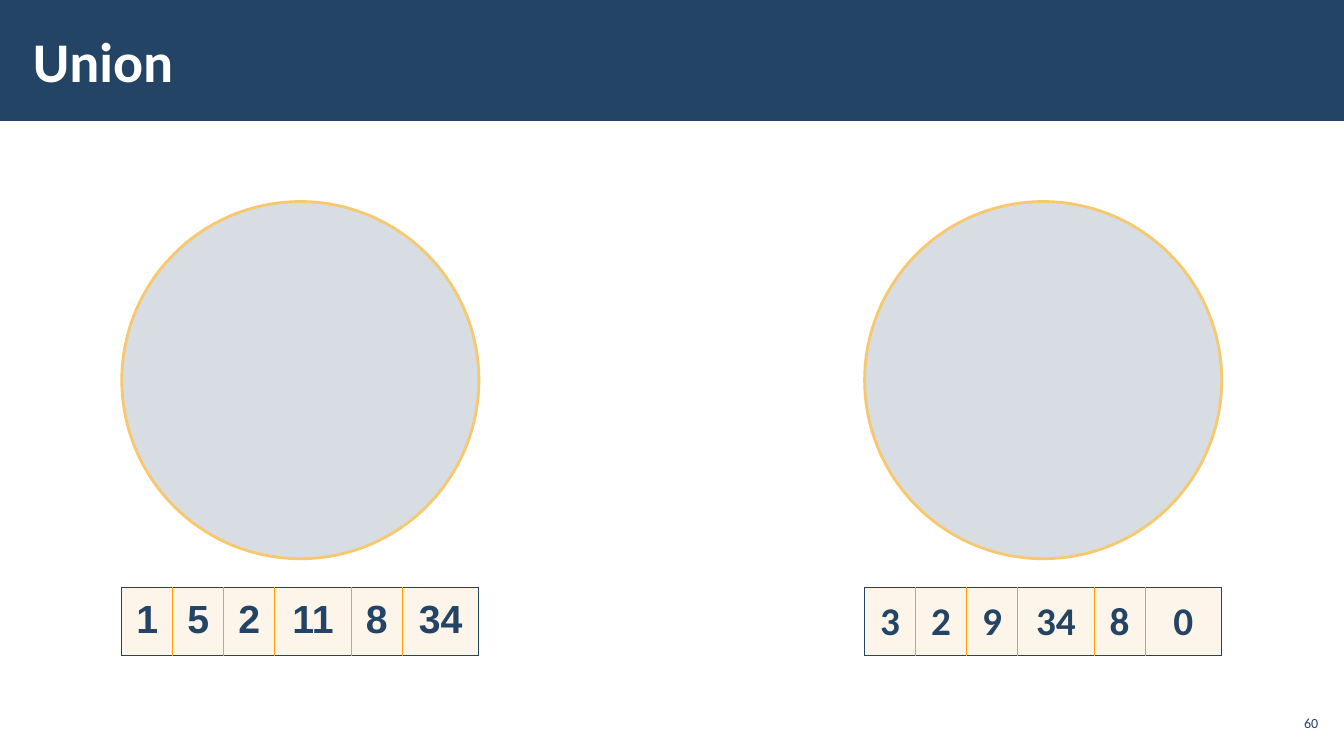
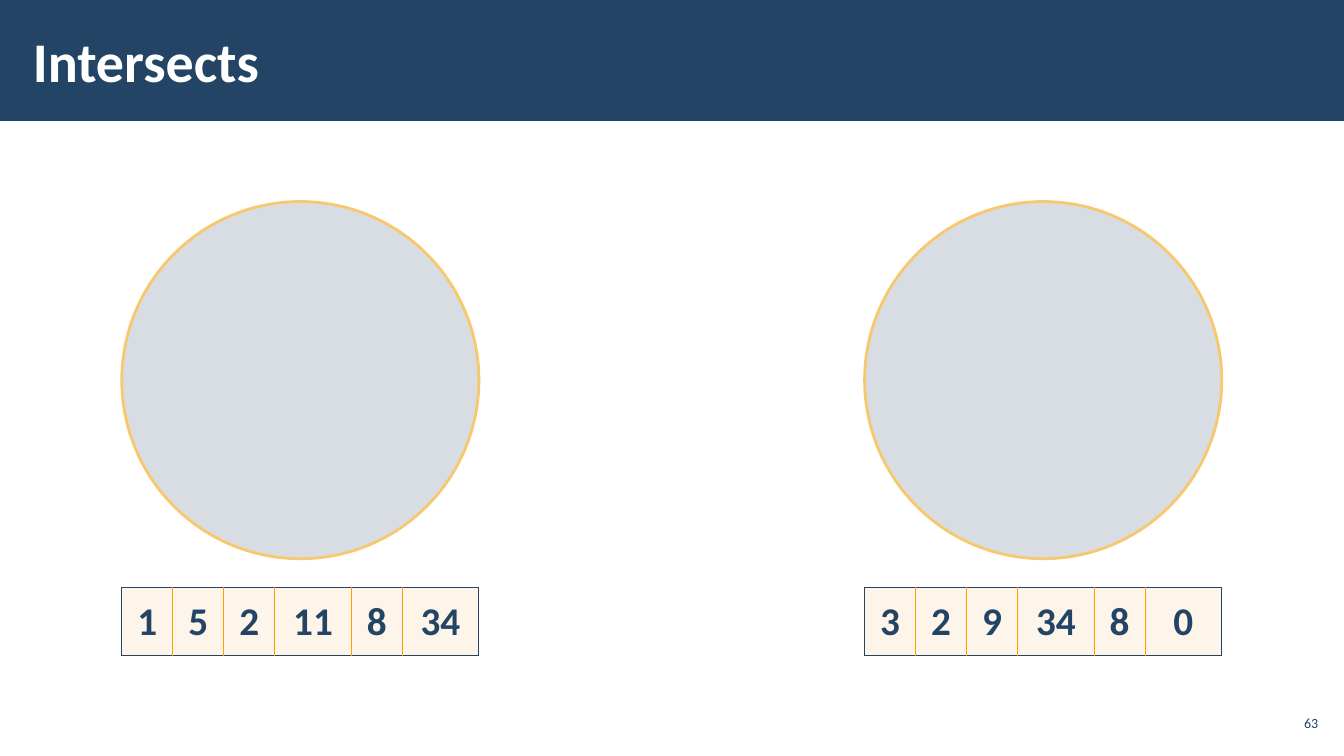
from lxml import etree
from pptx import Presentation
from pptx.dml.color import RGBColor
from pptx.enum.shapes import MSO_SHAPE
from pptx.enum.text import MSO_ANCHOR, PP_ALIGN
from pptx.oxml.ns import qn
from pptx.util import Cm, Pt

RECT, OVAL = MSO_SHAPE.RECTANGLE, MSO_SHAPE.OVAL
MIDDLE = MSO_ANCHOR.MIDDLE
LEFT, CENTER, RIGHT = PP_ALIGN.LEFT, PP_ALIGN.CENTER, PP_ALIGN.RIGHT

NAVY, WHITE, CREAM = "234465", "FFFFFF", "FDF5EA"
GOLD, ORANGE = "F7C86D", "FFA000"
BODY_FONT, ALT_FONT = "Calibri", "Arial"

SLIDE_W, SLIDE_H, BAND_H = 33.87, 19.05, 3.05
SET_LEFTS = (3.07, 21.79)
SET_SIZE, CIRCLE_TOP = 9, 5.08
ROW_TOP, ROW_H = 14.81, 1.7
COLUMN_SHARES = (2, 2, 2, 3, 2, 3)

TITLE = {"size": Pt(40), "bold": True, "name": BODY_FONT}
NUMBER = {"size": Pt(10), "bold": False, "name": BODY_FONT}
VALUE = {"size": Pt(28), "bold": True}
TITLE_FRAME = {"margin_left": Cm(0.3), "margin_right": Cm(0.3),
               "margin_top": Cm(0.1), "margin_bottom": Cm(0.1),
               "vertical_anchor": MIDDLE, "word_wrap": True}
NUMBER_FRAME = {**TITLE_FRAME, "margin_left": Cm(0.1), "margin_right": Cm(0.1)}
CELL_FRAME = {"margin_left": Cm(0.32), "margin_right": Cm(0.32),
              "margin_top": Cm(0.13), "margin_bottom": Cm(0.13),
              "vertical_anchor": MIDDLE}

LEFT_VALUES = ("1", "5", "2", "11", "8", "34")
RIGHT_VALUES = ("3", "2", "9", "34", "8", "0")
SLIDES = (("Union", "60", ALT_FONT), ("Intersects", "63", BODY_FONT))


def rgb(color):
    return RGBColor.from_string(color)


def apply(target, values):
    for name, value in values.items():
        setattr(target, name, value)


def write(tf, text, font, color, align):
    p = tf.paragraphs[0]
    p.alignment = align
    r = p.add_run()
    r.text = text
    apply(r.font, font)
    r.font.color.rgb = rgb(color)
    return p


def add_text(s, box, text, font, color, align, frame):
    tf = s.shapes.add_textbox(*map(Cm, box)).text_frame
    apply(tf, frame)
    write(tf, text, font, color, align)


def add_filled(s, kind, box, color):
    sp = s.shapes.add_shape(kind, *map(Cm, box))
    sp.shadow.inherit = False
    sp.fill.solid()
    sp.fill.fore_color.rgb = rgb(color)
    sp.line.fill.background()
    return sp


def add_circle(s, left):
    sp = add_filled(s, OVAL, (left, CIRCLE_TOP, SET_SIZE, SET_SIZE), NAVY)
    tint = sp.element.spPr.find(qn("a:solidFill")).find(qn("a:srgbClr"))
    etree.SubElement(tint, qn("a:alpha"), val="18000")
    sp.line.color.rgb = rgb(GOLD)
    sp.line.width = Pt(2)


def set_borders(cell, colors):
    tc_pr = cell._tc.get_or_add_tcPr()
    for side, color in zip("LRTB", colors):
        ln = etree.SubElement(tc_pr, qn(f"a:ln{side}"), w=str(Pt(1)))
        fill = etree.SubElement(ln, qn("a:solidFill"))
        etree.SubElement(fill, qn("a:srgbClr"), val=color)


def add_value_row(s, left, values, font_name):
    box = map(Cm, (left, ROW_TOP, SET_SIZE, ROW_H))
    table = s.shapes.add_table(1, len(values), *box).table
    table.first_row = table.horz_banding = False
    last = len(values) - 1
    for i, (text, share) in enumerate(zip(values, COLUMN_SHARES)):
        table.columns[i].width = Cm(SET_SIZE * share / sum(COLUMN_SHARES))
        cell = table.cell(0, i)
        set_borders(cell, (NAVY if i == 0 else ORANGE,
                           NAVY if i == last else ORANGE, NAVY, NAVY))
        cell.fill.solid()
        cell.fill.fore_color.rgb = rgb(CREAM)
        apply(cell, CELL_FRAME)
        p = write(cell.text_frame, text, {**VALUE, "name": font_name}, NAVY, CENTER)
        p.line_spacing = 0.95


def add_set_slide(prs, title, number, left_font):
    s = prs.slides.add_slide(prs.slide_layouts[6])
    add_filled(s, RECT, (0, 0, SLIDE_W, BAND_H), NAVY)
    add_text(s, (0.53, 0.28, 26.42, 2.46), title, TITLE, WHITE, LEFT, TITLE_FRAME)
    add_text(s, (32.13, 17.78, 1.19, 0.86), number, NUMBER, NAVY, RIGHT, NUMBER_FRAME)
    rows = ((LEFT_VALUES, left_font), (RIGHT_VALUES, BODY_FONT))
    for left, (values, font_name) in zip(SET_LEFTS, rows):
        add_circle(s, left)
        add_value_row(s, left, values, font_name)


def main():
    prs = Presentation()
    prs.slide_width, prs.slide_height = Cm(SLIDE_W), Cm(SLIDE_H)
    for title, number, left_font in SLIDES:
        add_set_slide(prs, title, number, left_font)
    prs.save("out.pptx")


if __name__ == "__main__":
    main()
